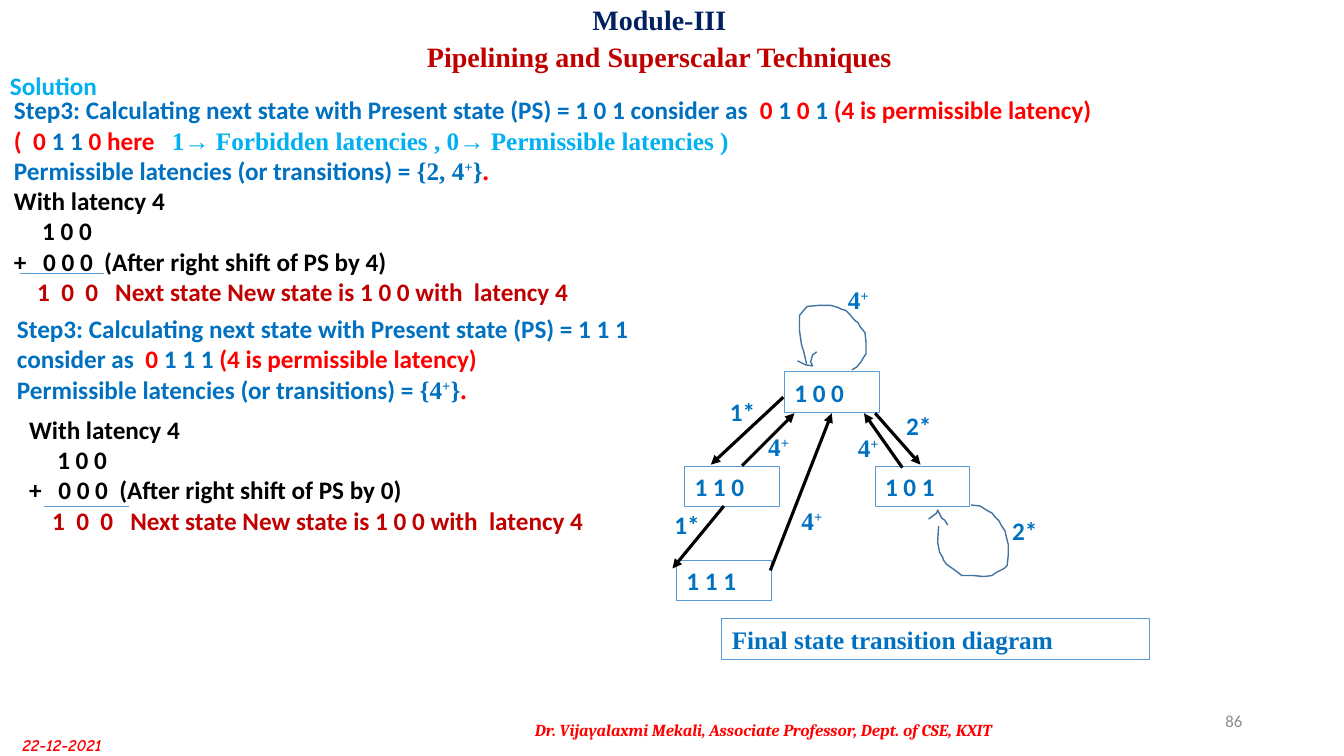
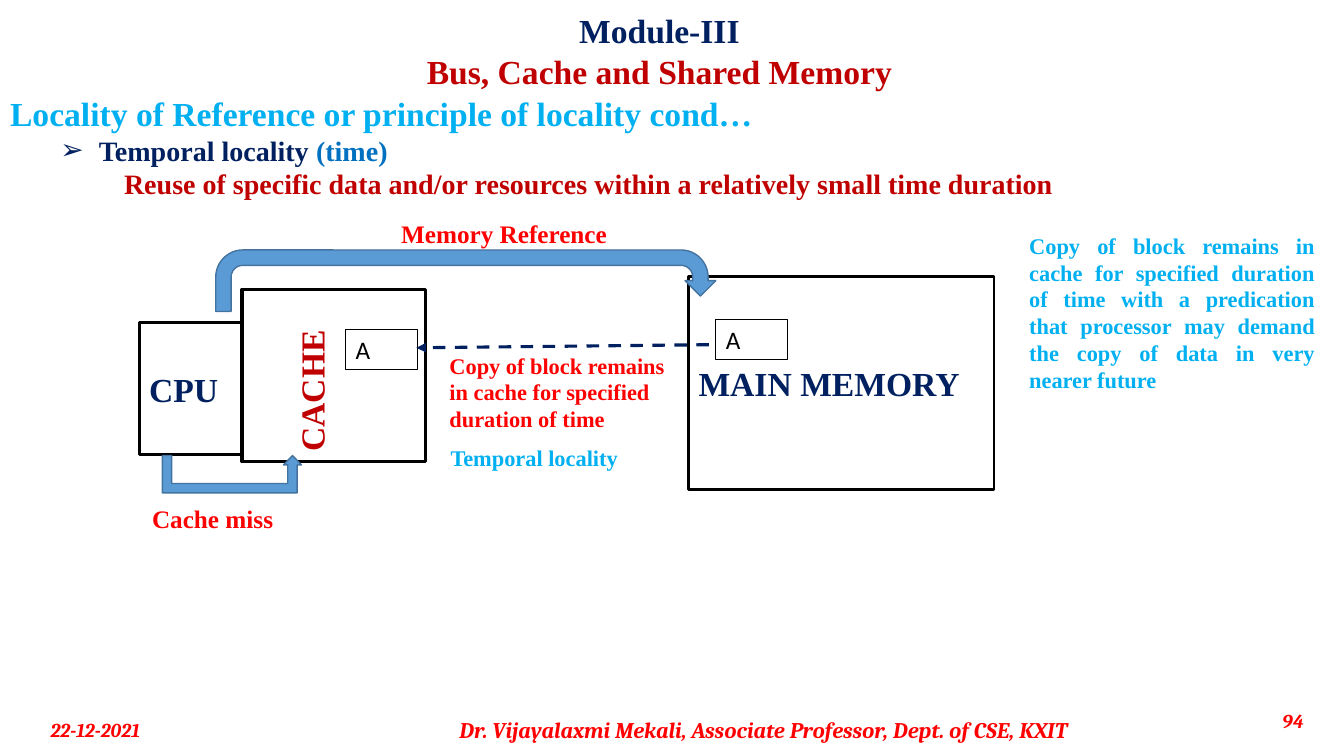
from pptx import Presentation
from pptx.dml.color import RGBColor
from pptx.enum.dml import MSO_LINE
from pptx.enum.shapes import MSO_CONNECTOR, MSO_SHAPE
from pptx.enum.text import MSO_ANCHOR as ANCHOR, MSO_AUTO_SIZE, PP_ALIGN as ALIGN
from pptx.oxml.ns import qn
from pptx.util import Inches, Pt
from lxml import etree

NAVY = RGBColor(0x00, 0x20, 0x60)
CRIMSON = RGBColor(0xC0, 0x00, 0x00)
RED = RGBColor(0xFF, 0x00, 0x00)
BLUE = RGBColor(0x00, 0x70, 0xC0)
SKY = RGBColor(0x00, 0xB0, 0xF0)
STEEL = RGBColor(0x5B, 0x9B, 0xD5)
DARK_STEEL = RGBColor(0x43, 0x73, 0x9E)
GRAY = RGBColor(0x8C, 0x8C, 0x8C)
BLACK = RGBColor(0x00, 0x00, 0x00)
SANS, SERIF, CAMBRIA, COMIC = "Calibri", "Times New Roman", "Cambria", "Comic Neue"


def write(shape, paras, size=18, font=SANS, color=BLUE, bold=True, italic=False,
          align=ALIGN.LEFT, anchor=ANCHOR.TOP):
    tf = shape.text_frame
    tf.word_wrap = True
    tf.auto_size = MSO_AUTO_SIZE.NONE
    tf.vertical_anchor = anchor
    for i, runs in enumerate(paras):
        p = tf.add_paragraph() if i else tf.paragraphs[0]
        p.alignment = align
        p.space_before = Pt(0)
        for run in [(runs,)] if isinstance(runs, str) else runs:
            text, run_color, run_font, raised = (run + (None,) * 3)[:4]
            r = p.add_run()
            r.text = text
            r.font.size = Pt(size)
            r.font.name = run_font or font
            r.font.color.rgb = color if run_color is None else run_color
            r.font.bold, r.font.italic = bold, italic
            if raised:
                r._r.get_or_add_rPr().set("baseline", "30000")
    return tf


def box(s, at, paras, line=None, width=0.75, **style):
    at = [Inches(v) for v in at]
    if line is None:
        sp = s.shapes.add_textbox(*at)
    else:
        sp = s.shapes.add_shape(MSO_SHAPE.RECTANGLE, *at)
        sp.shadow.inherit = False
        sp.fill.background()
        sp.line.color.rgb = line
        sp.line.width = Pt(width)
    return write(sp, paras, **style)


prs = Presentation()
prs.slide_width, prs.slide_height = Inches(13.33), Inches(7.5)
s1 = prs.slides.add_slide(prs.slide_layouts[5])
s2 = prs.slides.add_slide(prs.slide_layouts[1])

RED_ITALIC = dict(font=CAMBRIA, color=RED, italic=True)
frames = [
    (s1, "Pipelining and Superscalar Techniques", -0.04, 20, 26, 12,
     ("22-12-2021", -0.24, 7.19, dict(RED_ITALIC, size=12, font=COMIC)),
     ("86", 9.42, dict(size=12, color=GRAY, bold=False))),
    (s2, "Bus, Cache and Shared Memory", 0.1, 24, 29, 16,
     ("22-12-2021", 0.09, 7.04, dict(RED_ITALIC, size=14)),
     ("94", 10.03, dict(RED_ITALIC, size=14))),
]
for s, topic, top, size, pitch, credit_size, date, number in frames:
    title = s.shapes.title
    title.left, title.top = Inches(0.79), Inches(top)
    title.width, title.height = Inches(11.5), Inches(0.8)
    tf = write(title, [[("Module-III", NAVY)], [(topic, CRIMSON)]], size=size,
               font=SERIF, align=ALIGN.CENTER, anchor=ANCHOR.MIDDLE)
    for p in tf.paragraphs:
        p.line_spacing = Pt(pitch)
    box(s, (4.36, 7.04, 6.43, 0.4),
        ["Dr. Vijayalaxmi Mekali, Associate Professor, Dept. of CSE, KXIT"],
        size=credit_size, align=ALIGN.CENTER, anchor=ANCHOR.MIDDLE, **RED_ITALIC)
    text, left, date_top, style = date
    box(s, (left, date_top, 1.71, 0.4), [text], align=ALIGN.CENTER,
        anchor=ANCHOR.MIDDLE, **style)
    text, left, style = number
    box(s, (left, 6.95, 3, 0.4), [text], align=ALIGN.RIGHT,
        anchor=ANCHOR.MIDDLE, **style)

box(s1, (0, 0.65, 2.35, 0.4), ["Solution"], color=SKY)
step_101 = [
    [("Step3: Calculating next state with Present state (PS) = 1 0 1 consider as ",),
     (" 0", RED), (" 1 ",), ("0 ", RED), ("1 ",), ("(4 is permissible latency)", RED)],
    [("(  0", RED), (" 1 1 ",), ("0 here   ", RED),
     ("1→ Forbidden latencies , 0→ Permissible latencies )", SKY, SERIF)],
    [("Permissible latencies (or transitions) = ",), ("{2, 4", BLUE, SERIF),
     ("+", BLUE, SERIF, True), ("}", BLUE, SERIF), (".", RED, SERIF)],
]
step_111 = [
    [("Step3: Calculating next state with Present state (PS) = 1 1 1 consider as ",),
     (" 0", RED), (" 1 1 1",), (" (4 is permissible latency)", RED)],
    [("Permissible latencies (or transitions) = ",), ("{4", BLUE, SERIF),
     ("+", BLUE, SERIF, True), ("}", BLUE, SERIF), (".", RED, SERIF)],
]
box(s1, (0.07, 3.06, 6.67, 1.01), step_111)
for at, intro, shift in [((0.04, 0.89, 12.95, 2.22), step_101, 4),
                         ((0.19, 4.06, 6.67, 1.31), [], 0)]:
    addition = [
        [("With latency 4", BLACK)],
        [("1 0 0", BLACK)],
        [(f"+\t0 0 0  (After right shift of PS by {shift})", BLACK)],
        [("1  0  0   Next state New state is 1 0 0 with  latency 4", CRIMSON)],
    ]
    tf = box(s1, at, intro + addition)
    for p, margin, indent in zip(tf.paragraphs[-3:], (0.28, 0.29, 0.23), (0, -0.29, 0)):
        pPr = p._p.get_or_add_pPr()
        pPr.set("marL", str(Inches(margin)))
        pPr.set("indent", str(Inches(indent)))

for state, left, top in [("1 0 0", 7.78, 3.69), ("1 1 0", 6.79, 4.63),
                         ("1 0 1", 8.68, 4.63), ("1 1 1", 6.71, 5.56)]:
    box(s1, (left, top, 0.94, 0.4), [state], line=STEEL)
box(s1, (7.16, 6.14, 4.24, 0.4), ["Final state transition diagram"], line=STEEL, font=SERIF)
for latency, left, top in [("1*", 7.14, 3.88), ("2*", 8.89, 4.02),
                           ("2*", 9.94, 5.06), ("1*", 6.59, 5)]:
    box(s1, (left, top, 0.6, 0.4), [latency])
for left, top in [(8.31, 2.77), (8.41, 4.24), (7.85, 4.96), (7.52, 4.23)]:
    box(s1, (left, top, 0.58, 0.4), [[("4",), ("+", BLUE, SERIF, True)]], font=SERIF)

loops = [
    [(845, 367), (850, 364), (854, 359), (857, 354), (859, 351), (859, 340), (858, 330),
     (853, 324), (851, 320), (848, 318), (842, 311), (839, 308), (835, 307), (831, 305),
     (824, 303), (812, 303), (801, 304), (798, 307), (793, 313), (793, 328), (795, 342),
     (797, 348), (798, 352), (800, 361)],
    [(791, 358), (799, 362), (806, 363), (804, 359), (806, 352), (809, 350), (810, 349)],
    [(963, 501), (972, 502), (980, 507), (984, 509), (987, 513), (991, 517), (993, 521),
     (997, 527), (998, 532), (1000, 540), (1000, 551), (999, 561), (996, 564), (988, 568),
     (984, 571), (976, 572), (965, 571), (954, 571), (949, 567), (939, 560), (936, 556),
     (935, 553), (932, 548), (930, 538), (931, 522)],
    [(921, 515), (929, 509), (930, 506), (934, 514), (937, 516), (940, 521)],
]
for points in loops:
    pen = s1.shapes.build_freeform(*points[0], scale=Inches(0.01))
    pen.add_line_segments(points[1:], close=False)
    sp = pen.convert_to_shape()
    sp.shadow.inherit = False
    sp.fill.background()
    sp.line.color.rgb = DARK_STEEL
    sp.line.width = Pt(1)

body = s2.placeholders[1]
body.left, body.top, body.width, body.height = 0, Inches(0.87), Inches(13.33), Inches(1.25)
tf = write(body, [
    [("Locality of Reference or principle of locality cond…", SKY)],
    [("Temporal locality ", NAVY), ("(time)",)],
    [("Reuse of specific data and/or resources within a relatively small time duration",
      CRIMSON)],
], size=20, font=SERIF)
tf.paragraphs[0].runs[0].font.size = Pt(24)
for p, level, margin, indent, bullet in zip(
        tf.paragraphs, (0, 1, 1), (0, 0.88, 1.13), (0, -0.38, 0), (None, "➢", None)):
    p.level = level
    pPr = p._p.get_or_add_pPr()
    pPr.set("marL", str(Inches(margin)))
    pPr.set("indent", str(Inches(indent)))
    if bullet:
        etree.SubElement(pPr, qn("a:buChar")).set("char", bullet)
    else:
        etree.SubElement(pPr, qn("a:buNone"))

for at, name, width in [((1.38, 3.2, 1.03, 1.31), "CPU", 2),
                        ((2.4, 2.87, 1.82, 1.71), "", 2.25),
                        ((6.83, 2.74, 3.03, 2.12), "MAIN MEMORY", 2)]:
    box(s2, at, [name] if name else [], line=BLACK, width=width, size=24, font=SERIF,
        color=NAVY, anchor=ANCHOR.MIDDLE)
tf = box(s2, (2.83, 2.87, 0.51, 1.71), ["CACHE"], size=24, font=SERIF, color=CRIMSON,
         anchor=ANCHOR.MIDDLE)
tf._txBody.bodyPr.set("vert", "vert270")
for left, top in [(7.1, 3.17), (3.43, 3.27)]:
    box(s2, (left, top, 0.71, 0.4), ["A"], line=BLACK, color=BLACK, bold=False)

for at, text, size, color, align in [
    ((1.41, 4.94, 1.46, 0.4), "Cache miss", 18, RED, ALIGN.LEFT),
    ((3.88, 2.12, 2.47, 0.4), "Memory Reference", 18, RED, ALIGN.LEFT),
    ((4.36, 3.44, 2.47, 0.91),
     "Copy of block remains in cache for specified duration of time", 16, RED, ALIGN.LEFT),
    ((4.37, 4.36, 2.47, 0.37), "Temporal locality", 16, SKY, ALIGN.LEFT),
    ((10.11, 2.25, 3.03, 1.72),
     "Copy of block remains in cache for specified duration of time with a predication "
     "that processor may demand the copy of data in very nearer future",
     16, SKY, ALIGN.JUSTIFY),
]:
    box(s2, at, [text], size=size, font=SERIF, color=color, align=align)

for at, adjustments, flipped in [
    ((2.14, 2.48, 4.96, 0.61), (0.25, 0.25, 0.25, 0.44, 0.75), False),
    ((1.61, 4.52, 1.38, 0.37), (0.25, 0.24, 0.25, 0, 1), True),
]:
    sp = s2.shapes.add_shape(MSO_SHAPE.U_TURN_ARROW, *[Inches(v) for v in at])
    for i, value in enumerate(adjustments):
        sp.adjustments[i] = value
    sp.shadow.inherit = False
    sp.fill.solid()
    sp.fill.fore_color.rgb = STEEL
    sp.line.color.rgb = DARK_STEEL
    sp.line.width = Pt(1)
    if flipped:
        sp._element.spPr.find(qn("a:xfrm")).set("flipV", "1")

transitions = [
    (7.18, 5.02, 6.67, 5.64), (8.68, 4.1, 9.13, 4.61), (7.77, 3.94, 7.05, 4.61),
    (7.36, 4.62, 7.88, 4.1), (7.64, 5.66, 8.25, 4.1), (8.95, 4.64, 8.57, 4.1),
]
sum_rules = [(0.2, 2.71, 1.03, 2.71), (0.44, 5.02, 1.28, 5.02)]
lines = [(s1, ends, BLACK, 2.25, True) for ends in transitions]
lines += [(s1, ends, STEEL, 0.5, False) for ends in sum_rules]
lines.append((s2, (7.03, 3.42, 4.13, 3.45), NAVY, 2.25, True))
for s, ends, color, width, arrow in lines:
    cn = s.shapes.add_connector(MSO_CONNECTOR.STRAIGHT, *[Inches(v) for v in ends])
    cn.line.color.rgb = color
    cn.line.width = Pt(width)
    if s is s2:
        cn.line.dash_style = MSO_LINE.DASH
    if arrow:
        etree.SubElement(cn.line._get_or_add_ln(), qn("a:tailEnd")).set("type", "triangle")
    etree.SubElement(cn._element.spPr, qn("a:effectLst"))

prs.save("out.pptx")
